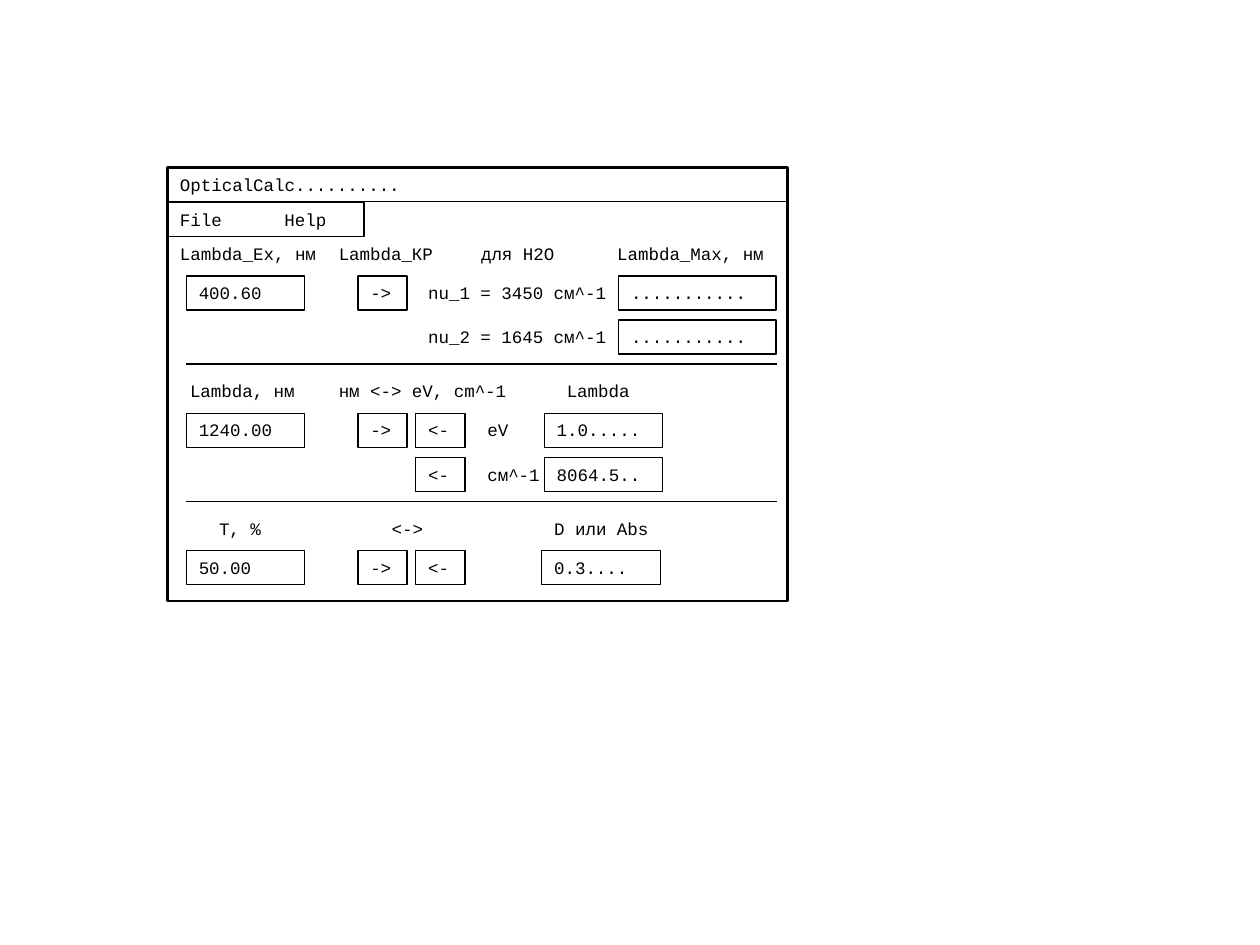
"""Build a slide with the window mock-up of an optical unit calculator."""
from dataclasses import dataclass

from lxml.etree import SubElement
from pptx import Presentation
from pptx.dml.color import RGBColor
from pptx.enum.shapes import MSO_CONNECTOR, MSO_SHAPE
from pptx.enum.text import MSO_ANCHOR, PP_ALIGN
from pptx.oxml.ns import qn
from pptx.util import Inches, Pt


@dataclass(frozen=True)
class Theme:
    font: str = "Courier New"
    ink: RGBColor = RGBColor(0, 0, 0)
    size: float = 10
    thin: float = 0.75
    rule: float = 1
    frame: float = 1.5


THEME = Theme()
WINDOW = (1.33, 1.33, 4.92, 3.44)
BAR_HEIGHT = 0.27
MENU_TAB = 0.83
CHAR_WIDTH, INSET = 1 / 12, 0.1
SECTION_TOP, SECTION_STEP = 1.88, 1.09
ROW_OFFSETS = (0, 0.31, 0.66)
RULE_OFFSET, RULE_LEFT, RULE_RIGHT = 1.01, 1.48, 6.17
WIDTHS = {"field": 0.94, "button": 0.39, "result": 1.25}
COLUMNS = {"input": 1.48, "to": 2.84, "from": 3.3, "unit": 3.77,
           "output": 4.32, "density": 4.3, "maximum": 4.91}

TITLE = "OpticalCalc.........."
MENU = "File\tHelp"

LABELS = [
    [(0, 1.33, "Lambda_Ex, нм"), (0, 2.59, "Lambda_КР"), (0, 3.72, "для H2O"),
     (0, 4.8, "Lambda_Max, нм"), (1, COLUMNS["from"], "nu_1 = 3450 см^-1"),
     (2, COLUMNS["from"], "nu_2 = 1645 см^-1")],
    [(0, 1.41, "Lambda, нм"), (0, 2.59, "нм <-> eV, cm^-1"), (0, 4.4, "Lambda"),
     (1, COLUMNS["unit"], "eV"), (2, COLUMNS["unit"], "см^-1")],
    [(0, 1.64, "T, %"), (0, 3.01, "<->"), (0, COLUMNS["density"], "D или Abs")],
]
BOXES = [
    [(1, "input", "field", "400.60"), (1, "to", "button", "->"),
     (1, "maximum", "result", "..........."),
     (2, "maximum", "result", "...........")],
    [(1, "input", "field", "1240.00"), (1, "to", "button", "->"),
     (1, "from", "button", "<-"), (1, "output", "field", "1.0....."),
     (2, "from", "button", "<-"), (2, "output", "field", "8064.5..")],
    [(1, "input", "field", "50.00"), (1, "to", "button", "->"),
     (1, "from", "button", "<-"), (1, "density", "field", "0.3....")],
]


def write(holder, text, wrap):
    frame = holder.text_frame
    frame.text = text
    frame.word_wrap = wrap
    frame.vertical_anchor = MSO_ANCHOR.TOP
    paragraph = frame.paragraphs[0]
    paragraph.alignment = PP_ALIGN.LEFT
    font = paragraph.runs[0].font
    font.name, font.size = THEME.font, Pt(THEME.size)
    font.color.rgb = THEME.ink
    return paragraph


def add_box(slide, left, top, width, height=BAR_HEIGHT, weight=THEME.thin):
    box = slide.shapes.add_shape(
        MSO_SHAPE.RECTANGLE, *map(Inches, (left, top, width, height)))
    box.shadow.inherit = False
    box.fill.background()
    box.line.color.rgb = THEME.ink
    box.line.width = Pt(weight)
    return box


def add_label(slide, left, top, text):
    width = len(text) * CHAR_WIDTH + 2 * INSET
    label = slide.shapes.add_textbox(
        *map(Inches, (left, top, width, BAR_HEIGHT)))
    write(label, text, wrap=False)


def add_rule(slide, top):
    rule = slide.shapes.add_connector(
        MSO_CONNECTOR.STRAIGHT, *map(Inches, (RULE_LEFT, top, RULE_RIGHT, top)))
    rule.line.color.rgb = THEME.ink
    rule.line.width = Pt(THEME.rule)
    SubElement(rule.line._get_or_add_ln().getparent(), qn("a:effectLst"))


def add_window(slide):
    left, top, width, height = WINDOW
    add_box(slide, left, top, width, height, THEME.frame)
    write(add_box(slide, left, top, width), TITLE, wrap=True)
    menu = write(add_box(slide, left, top + BAR_HEIGHT + 0.01, 1.56), MENU, wrap=True)
    stops = SubElement(menu._p.get_or_add_pPr(), qn("a:tabLst"))
    SubElement(stops, qn("a:tab"), pos=str(Inches(MENU_TAB)), algn="l")


def main():
    deck = Presentation()
    deck.slide_width, deck.slide_height = Inches(10), Inches(7.5)
    slide = deck.slides.add_slide(deck.slide_layouts[6])
    add_window(slide)
    for index, (labels, boxes) in enumerate(zip(LABELS, BOXES)):
        top = SECTION_TOP + index * SECTION_STEP
        for row, left, text in labels:
            add_label(slide, left, top + ROW_OFFSETS[row], text)
        for row, column, kind, text in boxes:
            box = add_box(slide, COLUMNS[column], top + ROW_OFFSETS[row], WIDTHS[kind])
            write(box, text, wrap=True)
        if index < len(LABELS) - 1:
            add_rule(slide, top + RULE_OFFSET)
    deck.save("out.pptx")


if __name__ == "__main__":
    main()
